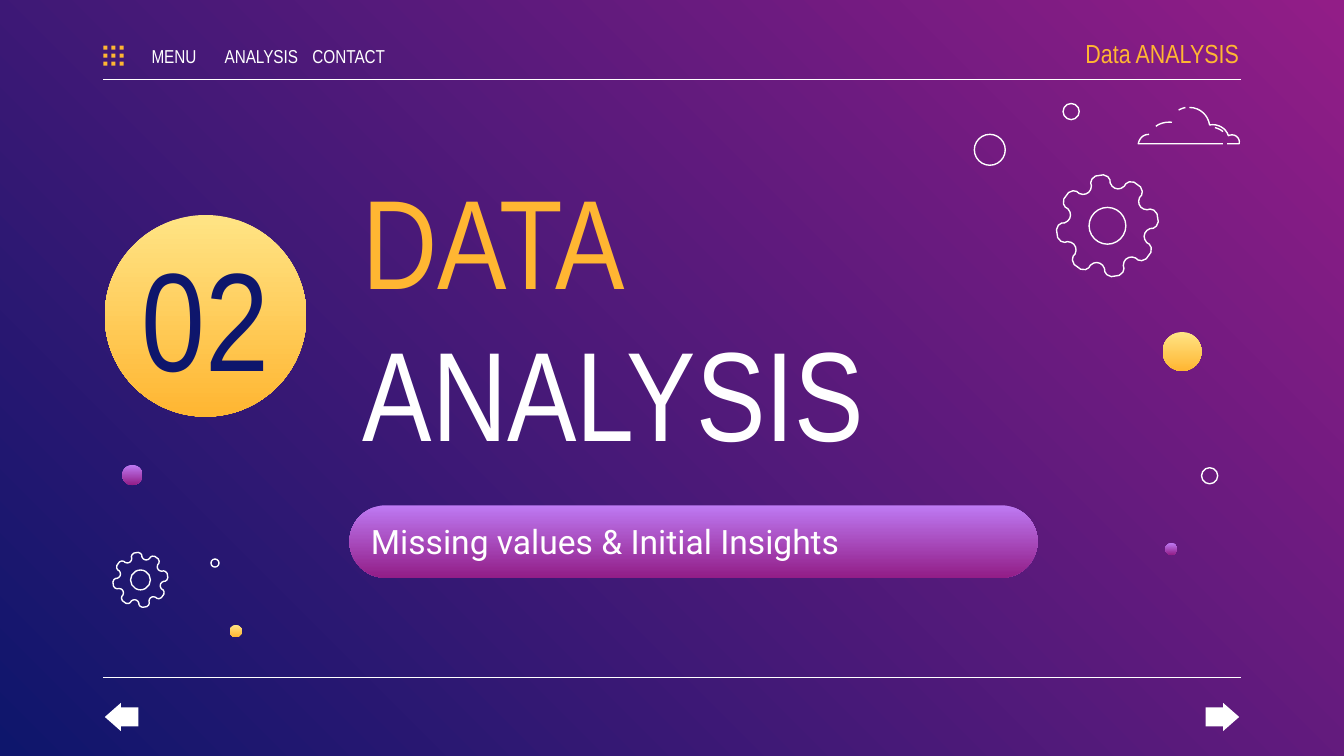
import math

import pptx
import pptx.dml.color
import pptx.enum.shapes
import pptx.enum.text
import pptx.oxml.ns
import pptx.util
from lxml import etree
from pptx.util import Inches

COLORS = {"white": "FFFFFF", "amber": "FFB632", "cream": "FFE485",
          "lilac": "BE7AF3", "magenta": "921D87", "navy": "0E166C"}
GOLD = ("cream", "amber")
PURPLE = ("lilac", "magenta")
NARROW = "Arial Narrow"
SHAPE = pptx.enum.shapes.MSO_SHAPE
ALIGN = pptx.enum.text.PP_ALIGN

# Right half of one gear tooth: degrees from its middle, share of outer radius
TOOTH = [(4.5, 1), (9.5, 0.96), (12.2, 0.9), (12.8, 0.84), (15.8, 0.78), (20, 0.75)]

# Each stroke is a chain of cubic curves, in inches from the cloud's corner
CLOUD = [
    [(0.38, 0), (0.46, 0), (0.52, 0.06), (0.53, 0.13), (0.59, 0.12), (0.65, 0.15),
     (0.67, 0.21), (0.71, 0.19), (0.76, 0.22), (0.75, 0.27),
     (0.72, 0.27), (0.69, 0.27), (0.66, 0.27)],
    [(0.35, 0), (0.35, 0), (0.31, 0.01), (0.3, 0.02)],
    [(0.63, 0.27), (0.42, 0.27), (0.21, 0.27), (0, 0.27),
     (0, 0.27), (0.01, 0.2), (0.08, 0.2)],
    [(0.57, 0.15), (0.57, 0.15), (0.61, 0.16), (0.63, 0.18)],
    [(0.25, 0.11), (0.25, 0.11), (0.18, 0.1), (0.13, 0.14)],
]


def rgb(name):
    return pptx.dml.color.RGBColor.from_string(COLORS[name])


def paint_gradient(fill, names, angle):
    fill.gradient()
    fill.gradient_angle = angle
    for stop, name in zip(fill.gradient_stops, names):
        stop.color.rgb = rgb(name)


def style(shape, fill=None, outline=None):
    """Fill with a colour name, a pair of names (gradient) or nothing."""
    shape.shadow.inherit = False
    if fill is None:
        shape.fill.background()
    elif isinstance(fill, tuple):
        paint_gradient(shape.fill, fill, 270)
    else:
        shape.fill.solid()
        shape.fill.fore_color.rgb = rgb(fill)
    if outline:
        shape.line.color.rgb = rgb(outline)
        shape.line.width = pptx.util.Pt(0.75)
    else:
        shape.line.fill.background()


def add_preset(slide, kind, box, fill=None, outline=None):
    shape = slide.shapes.add_shape(kind, *map(Inches, box))
    style(shape, fill, outline)
    return shape


def add_outline(slide, points, closed):
    points = [(Inches(x), Inches(y)) for x, y in points]
    builder = slide.shapes.build_freeform(*points[0])
    builder.add_line_segments(points[1:], close=closed)
    style(builder.convert_to_shape(), outline="white")


def add_rule(slide, left, right, y):
    rule = slide.shapes.add_connector(pptx.enum.shapes.MSO_CONNECTOR.STRAIGHT,
                                      *map(Inches, (left, y, right, y)))
    rule.line.color.rgb = rgb("white")
    rule.line.width = pptx.util.Pt(0.75)
    etree.SubElement(rule.element.spPr, pptx.oxml.ns.qn("a:effectLst"))


def write(shape, box, spans, size, font=NARROW, align=ALIGN.LEFT, insets=(0.1, 0.1)):
    """Place a text holder and fill it with (text, colour) spans."""
    shape.left, shape.top, shape.width, shape.height = map(Inches, box)
    frame = shape.text_frame
    frame.word_wrap = True
    frame.auto_size = pptx.enum.text.MSO_AUTO_SIZE.NONE
    frame.vertical_anchor = pptx.enum.text.MSO_ANCHOR.MIDDLE
    frame.margin_left, frame.margin_right = map(Inches, insets)
    frame.margin_top = frame.margin_bottom = Inches(0.1)
    para = frame.paragraphs[0]
    para.alignment = align
    para.space_before = pptx.util.Pt(0)
    for text, color in spans:
        span = para.add_run()
        span.text = text
        span.font.size = pptx.util.Pt(size)
        span.font.name = font
        span.font.color.rgb = rgb(color)


def add_label(slide, box, *args, **options):
    write(slide.shapes.add_textbox(*map(Inches, box)), box, *args, **options)


def add_gear(slide, box):
    left, top, side = box
    radius = side / 2
    x, y = left + radius, top + radius
    profile = [(-turn, reach) for turn, reach in reversed(TOOTH)] + TOOTH
    points = []
    for tooth in range(8):
        for turn, reach in profile:
            angle = math.radians(45 * tooth - 9 + turn)
            points.append((x + radius * reach * math.sin(angle),
                           y - radius * reach * math.cos(angle)))
    add_outline(slide, points, True)
    hole = 0.36 * side
    add_preset(slide, SHAPE.OVAL, (x - hole / 2, y - hole / 2, hole, hole), outline="white")


def curve_points(chain, steps=8):
    """Sample a chain of cubic curves that share their end points."""
    points = [chain[0]]
    for start in range(0, len(chain) - 1, 3):
        corners = chain[start:start + 4]
        for step in range(1, steps + 1):
            t = step / steps
            weights = ((1 - t) ** 3, 3 * t * (1 - t) ** 2, 3 * t * t * (1 - t), t ** 3)
            points.append(tuple(sum(w * corner[axis] for w, corner in zip(weights, corners))
                                for axis in (0, 1)))
    return points


def add_cloud(slide, left, top):
    for stroke in CLOUD:
        add_outline(slide, [(left + x, top + y) for x, y in curve_points(stroke)], False)


def add_header(slide, box):
    left, top, width, height = box
    add_rule(slide, left, left + width, top + height)
    for column in range(3):
        for row in range(3):
            add_preset(slide, SHAPE.RECTANGLE,
                       (left + 0.06 * column, top + 0.11 + 0.06 * row, 0.03, 0.03), "amber")
    for index, text in enumerate(("MENU", "ANALYSIS", "CONTACT")):
        add_label(slide, (left + 0.24 + 0.65 * index, top + 0.07, 0.57, 0.23),
                  [(text, "white")], 10, align=ALIGN.CENTER, insets=(0, 0))
    add_label(slide, (left + width - 1.51, top, 1.5, 0.33), [("Data ANALYSIS", "amber")],
              14, align=ALIGN.RIGHT, insets=(0.1, 0))


def add_footer(slide, box):
    left, top, width, height = box
    add_rule(slide, left, left + width, top)
    arrow_width = 0.25
    for kind, x in ((SHAPE.LEFT_ARROW, left + 0.01),
                    (SHAPE.RIGHT_ARROW, left + width - arrow_width - 0.01)):
        arrow = add_preset(slide, kind, (x, top + height - 0.21, arrow_width, 0.21), "white")
        arrow.adjustments[0] = 0.67
        arrow.adjustments[1] = 0.57


def add_section_title(slide, box):
    left, top, width, height = box
    pill = add_preset(slide, SHAPE.ROUNDED_RECTANGLE,
                      (left + 1.82, top + height - 0.54, width - 1.82, 0.54), PURPLE)
    pill.adjustments[0] = 0.5
    add_preset(slide, SHAPE.OVAL, (left, top + 0.21, 1.5, 1.5), GOLD)
    title, subtitle = slide.placeholders
    for holder in (title, subtitle):  # bring the text in front of the shapes
        holder.element.getparent().append(holder.element)
    write(title, (left + 1.82, top, 4.86, 1.9), [("DATA ", "amber"), ("ANALYSIS", "white")], 68)
    write(subtitle, (left + 1.88, top + height - 0.44, 5.01, 0.33),
          [("Missing values & Initial Insights", "white")], 18, font="Roboto")
    add_label(slide, (left, top + 0.54, 1.5, 0.83), [("02", "navy")], 75, align=ALIGN.CENTER)


def add_decorations(slide):
    for x, y, size in ((7.91, 0.77, 0.12), (8.94, 3.48, 0.12),
                       (7.25, 1, 0.23), (1.57, 4.16, 0.06)):
        add_preset(slide, SHAPE.OVAL, (x, y, size, size), outline="white")
    for x, y, size, fill in ((8.65, 2.47, 0.29, GOLD), (1.71, 4.65, 0.09, GOLD),
                             (0.91, 3.46, 0.15, PURPLE), (8.67, 4.04, 0.09, PURPLE)):
        add_preset(slide, SHAPE.OVAL, (x, y, size, size), fill)
    add_cloud(slide, 8.47, 0.8)
    add_gear(slide, (7.86, 1.3, 0.76))
    add_gear(slide, (0.84, 4.11, 0.41))


def main():
    deck = pptx.Presentation()
    deck.slide_width = Inches(10)
    deck.slide_height = deck.slide_width * 9 // 16
    slide = deck.slides.add_slide(deck.slide_layouts[0])
    paint_gradient(slide.background.fill, ("magenta", "navy"), 225)
    add_header(slide, (0.77, 0.23, 8.46, 0.36))
    add_footer(slide, (0.77, 5.04, 8.46, 0.4))
    add_section_title(slide, (0.78, 1.39, 6.94, 2.91))
    add_decorations(slide)
    deck.save("out.pptx")


if __name__ == "__main__":
    main()
